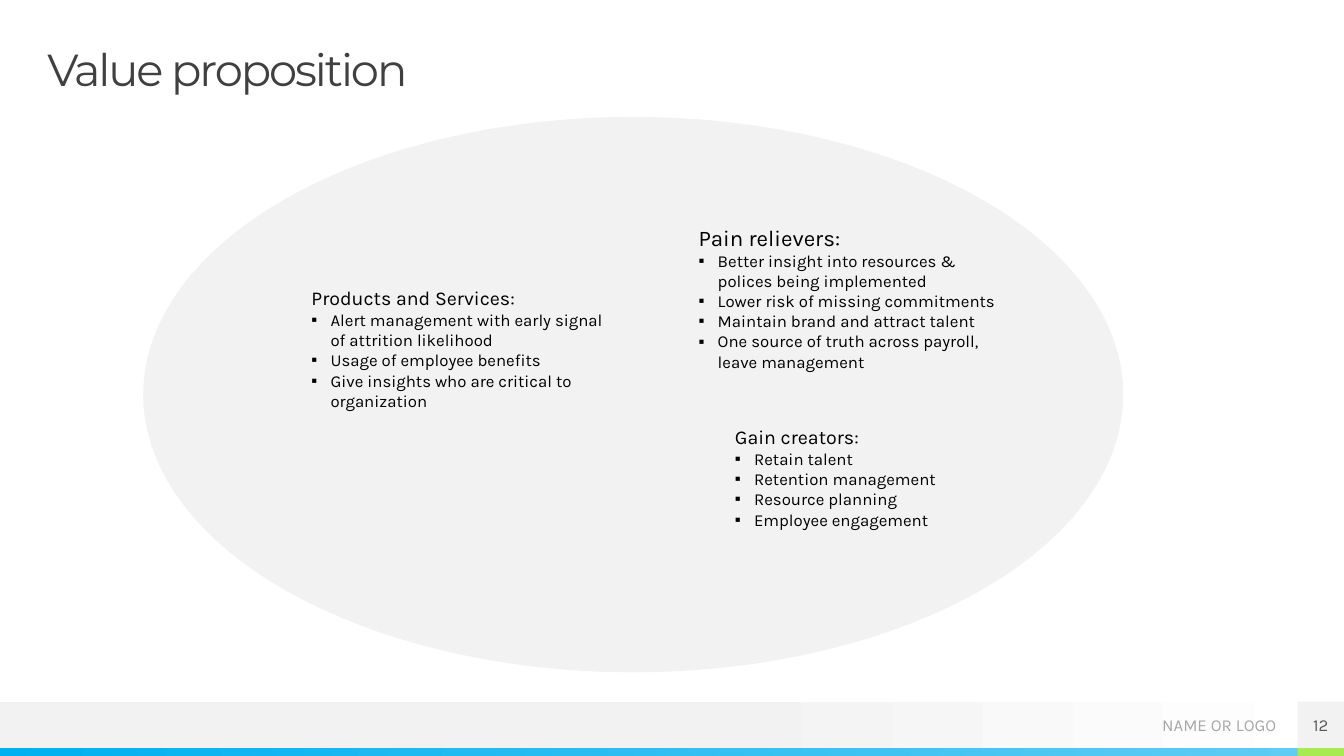
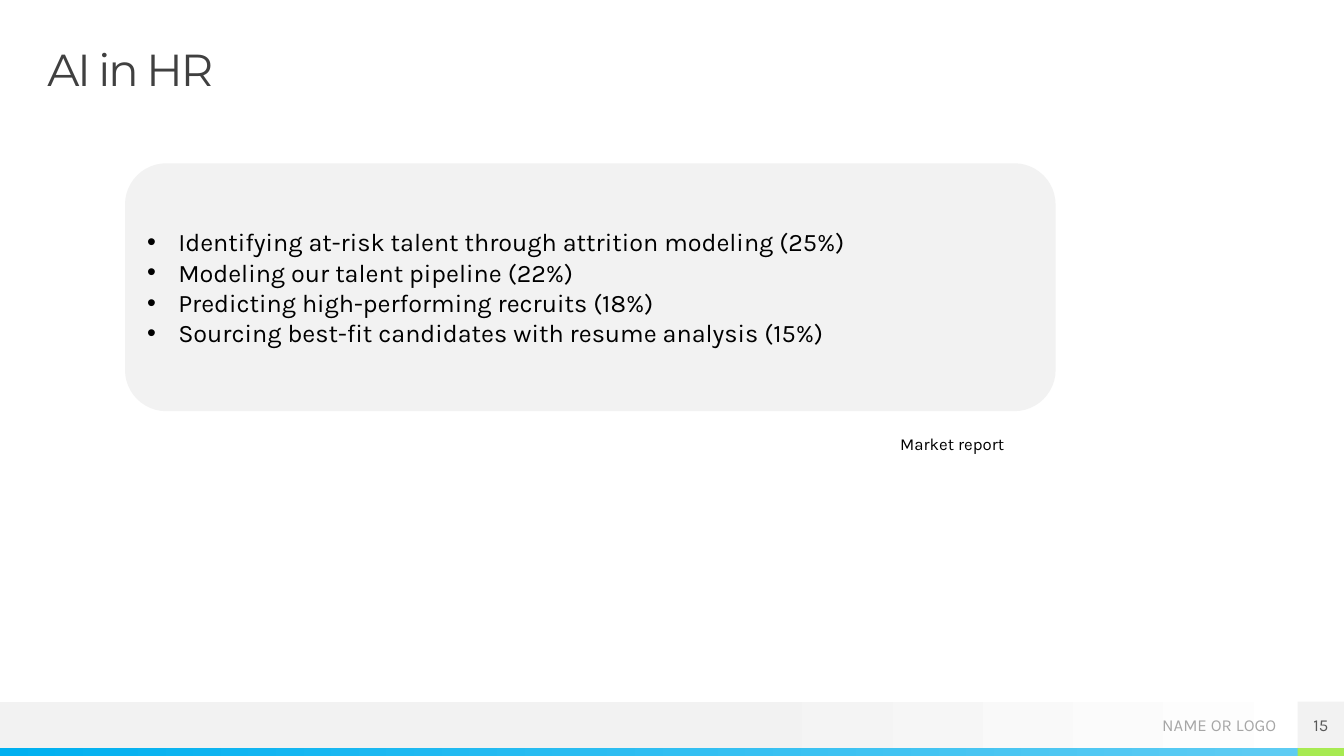
from dataclasses import dataclass

from lxml import etree
from pptx import Presentation
from pptx import util as u
from pptx.dml import color as dml
from pptx.enum import shapes as kinds, text as txt
from pptx.oxml import ns

HUES = {
    "pale": "F2F2F2", "white": "FFFFFF", "blue": "00B0F0", "sky": "5ECCF3",
    "lime": "A7EA52", "black": "000000", "title": "404040",
    "number": "595959", "footer": "A6A6A6",
}
BODY, HEAD = "Karla", "Montserrat"
WIDE, HIGH = 13.33, 7.5
BAND, STRIP = 0.46, 0.08
EDGE = WIDE - BAND
BASE = HIGH - STRIP
TOP = BASE - BAND
KIND = kinds.MSO_SHAPE
MID = txt.MSO_ANCHOR.MIDDLE
LEFT, RIGHT, CENTER = txt.PP_ALIGN.LEFT, txt.PP_ALIGN.RIGHT, txt.PP_ALIGN.CENTER


@dataclass(frozen=True)
class Box:
    left: float
    top: float
    width: float
    height: float

    def place(self) -> tuple:
        return tuple(map(u.Inches, (self.left, self.top, self.width, self.height)))


@dataclass(frozen=True)
class Group:
    box: Box
    head: str
    size: int
    items: tuple[str, ...]


GROUPS = (
    Group(Box(2.99, 2.79, 3.15, 1.65), "Products and Services:", 14, (
        "Alert management with early signal of attrition likelihood",
        "Usage of employee benefits",
        "Give insights who are critical to organization",
    )),
    Group(Box(7.19, 4.17, 3.15, 1.14), "Gain creators:", 14, (
        "Retain talent",
        "Retention management",
        "Resource planning",
        "Employee engagement",
    )),
    Group(Box(6.83, 2.17, 3.15, 1.58), "Pain relievers:", 16, (
        "Better insight into resources & polices being implemented",
        "Lower risk of missing commitments",
        "Maintain brand and attract talent",
        "One source of truth across payroll, leave management",
    )),
)
USES = (
    "Identifying at-risk talent through attrition modeling (25%)",
    "Modeling our talent pipeline (22%)",
    "Predicting high-performing recruits (18%)",
    "Sourcing best-fit candidates with resume analysis (15%)",
)


def tint(name: str) -> dml.RGBColor:
    return dml.RGBColor.from_string(HUES[name])


def write(frame, text: str, *, size: float = 12, font: str = BODY,
          hue: str = "black", align=LEFT, mark: str = "", indent: float = 0,
          lead: float | None = None, track: float = 0) -> None:
    para = frame.paragraphs[0]
    if para.runs:
        para = frame.add_paragraph()
    para.alignment = align
    if lead:
        para.line_spacing = lead
    if mark:
        props = para._p.get_or_add_pPr()
        props.set("marL", str(u.Inches(indent)))
        props.set("indent", str(-u.Inches(indent)))
        etree.SubElement(props, ns.qn("a:buFont"), typeface="Arial")
        etree.SubElement(props, ns.qn("a:buChar"), char=mark)
    run = para.add_run()
    run.text = text
    run.font.size = u.Pt(size)
    run.font.name = font
    run.font.color.rgb = tint(hue)
    if track:
        run._r.get_or_add_rPr().set("spc", str(round(track * 100)))


def trim(frame) -> None:
    frame.margin_left = frame.margin_right = 0
    frame.margin_top = frame.margin_bottom = 0


def label(slide, box: Box, *, inset: bool = True, anchor=txt.MSO_ANCHOR.TOP):
    frame = slide.shapes.add_textbox(*box.place()).text_frame
    frame.word_wrap = True
    frame.vertical_anchor = anchor
    if not inset:
        trim(frame)
    return frame


def solid(slide, kind, box: Box, hue: str = "pale"):
    shape = slide.shapes.add_shape(kind, *box.place())
    shape.shadow.inherit = False
    shape.line.fill.background()
    shape.fill.solid()
    shape.fill.fore_color.rgb = tint(hue)
    shape.text_frame.vertical_anchor = MID
    return shape


def blend(slide, box: Box, *stops: tuple[float, str]) -> None:
    fill = solid(slide, KIND.RECTANGLE, box).fill
    fill.gradient()
    fill.gradient_angle = 0
    for stop, (spot, hue) in zip(fill.gradient_stops, stops):
        stop.position = spot
        stop.color.rgb = tint(hue)


def start(deck, title: str, number: int):
    slide = deck.slides.add_slide(deck.slide_layouts[6])
    blend(slide, Box(0, TOP, WIDE, BAND), (0.53, "pale"), (1, "white"))
    blend(slide, Box(0, BASE, EDGE, STRIP), (0, "blue"), (1, "sky"))
    solid(slide, KIND.RECTANGLE, Box(EDGE, BASE, BAND, STRIP), "lime")
    foot = label(slide, Box(10.42, TOP, 2.24, 0.47), inset=False, anchor=MID)
    write(foot, "NAME OR LOGO", hue="footer", align=RIGHT)
    head = label(slide, Box(0.47, 0.47, 12.4, 0.47), inset=False)
    write(head, title, size=32, font=HEAD, hue="title", lead=0.9, track=-1.5)
    page = solid(slide, KIND.RECTANGLE, Box(EDGE, TOP, BAND, BAND)).text_frame
    trim(page)
    write(page, str(number), hue="number", align=CENTER)
    return slide


def value(deck) -> None:
    slide = start(deck, "Value proposition", 12)
    solid(slide, KIND.OVAL, Box(1.42, 1.16, 9.72, 5.51))
    for group in GROUPS:
        frame = label(slide, group.box)
        write(frame, group.head, size=group.size)
        for item in group.items:
            write(frame, item, mark="▪", indent=0.19)


def talent(deck) -> None:
    slide = start(deck, "AI in HR", 15)
    panel = solid(slide, KIND.ROUNDED_RECTANGLE, Box(1.24, 1.62, 9.23, 2.46))
    for use in USES:
        write(panel.text_frame, use, size=18, mark="•", indent=0.31)
    write(label(slide, Box(8.83, 4.25, 3.28, 0.3)), "Market report")


def main() -> None:
    deck = Presentation()
    deck.slide_width, deck.slide_height = u.Inches(WIDE), u.Inches(HIGH)
    value(deck)
    talent(deck)
    deck.save("out.pptx")


if __name__ == "__main__":
    main()
